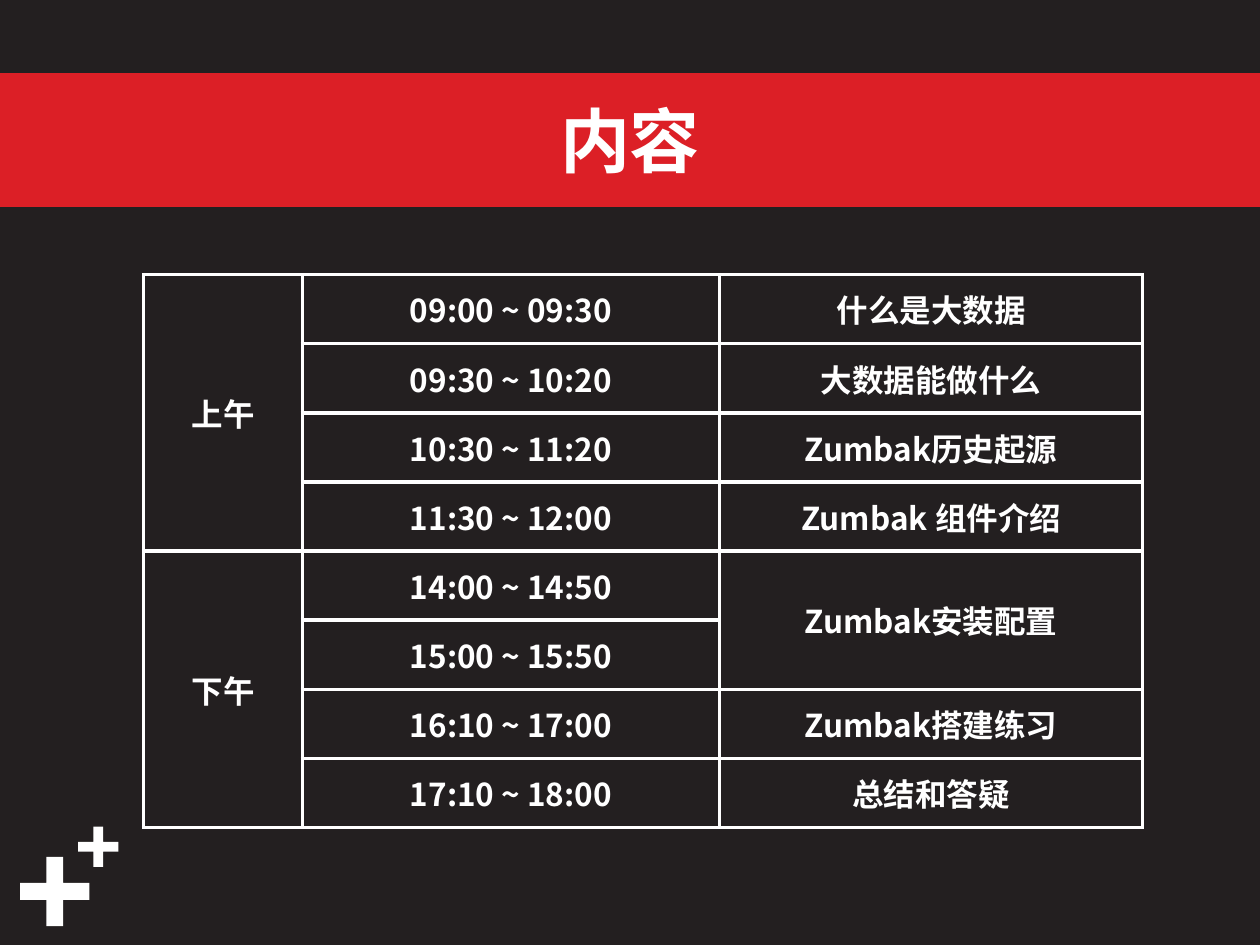
from lxml import etree
from pptx import Presentation
from pptx.dml.color import RGBColor
from pptx.enum import shapes, text
from pptx.oxml import ns
from pptx.util import Inches, Pt

DARK = RGBColor(0x23, 0x1F, 0x20)
RED = RGBColor(0xDC, 0x1F, 0x26)
WHITE = RGBColor(0xFF, 0xFF, 0xFF)
FONT = "Noto Sans CJK SC"

TITLE = "内容"
# (first row, last row, text) for each column
SESSIONS = [(0, 3, "上午"), (4, 7, "下午")]
TIMES = [
    "09:00 ~ 09:30", "09:30 ~ 10:20", "10:30 ~ 11:20", "11:30 ~ 12:00",
    "14:00 ~ 14:50", "15:00 ~ 15:50", "16:10 ~ 17:00", "17:10 ~ 18:00",
]
TOPICS = [
    (0, 0, "什么是大数据"),
    (1, 1, "大数据能做什么"),
    (2, 2, "Zumbak历史起源"),
    (3, 3, "Zumbak 组件介绍"),
    (4, 5, "Zumbak安装配置"),
    (6, 6, "Zumbak搭建练习"),
    (7, 7, "总结和答疑"),
]
COLUMNS = [SESSIONS, [(i, i, t) for i, t in enumerate(TIMES)], TOPICS]
COLUMN_WIDTHS = [1.26, 3.31, 3.36]
TABLE_LEFT, TABLE_TOP, TABLE_HEIGHT = 1.14, 2.18, 4.39
PLUSES = [(0.16, 6.8, 0.55), (0.62, 6.56, 0.32)]  # left, top, size


def write(tf, words, size):
    tf.text = words
    p = tf.paragraphs[0]
    p.alignment = text.PP_ALIGN.CENTER
    font = p.runs[0].font
    font.size, font.bold = Pt(size), True
    font.color.rgb = WHITE
    font.name = FONT
    etree.SubElement(p.runs[0]._r.rPr, ns.qn("a:ea"), typeface=FONT)


def add_borders(cell):
    tcPr = cell._tc.get_or_add_tcPr()
    for side in ("a:lnL", "a:lnR", "a:lnT", "a:lnB"):
        ln = etree.SubElement(tcPr, ns.qn(side), w=str(Pt(2.25)))
        fill = etree.SubElement(ln, ns.qn("a:solidFill"))
        etree.SubElement(fill, ns.qn("a:srgbClr"), val=str(WHITE))


def add_title(s):
    title = s.shapes.title
    title.left, title.top = Inches(0), Inches(0.6)
    title.width, title.height = Inches(10), Inches(1.02)
    title.fill.solid()
    title.fill.fore_color.rgb = RED
    title.line.color.rgb = RED
    title.line.width = Pt(3)
    write(title.text_frame, TITLE, 40)
    title.text_frame.auto_size = text.MSO_AUTO_SIZE.NONE
    title.text_frame.vertical_anchor = text.MSO_ANCHOR.MIDDLE


def add_pluses(s):
    for left, top, size in PLUSES:
        plus = s.shapes.add_shape(
            shapes.MSO_SHAPE.CROSS, Inches(left), Inches(top), Inches(size), Inches(size))
        plus.adjustments[0] = 0.378
        plus.shadow.inherit = False
        plus.fill.solid()
        plus.fill.fore_color.rgb = WHITE
        plus.line.fill.background()


def add_schedule(s):
    table = s.shapes.add_table(
        len(TIMES), len(COLUMNS), Inches(TABLE_LEFT), Inches(TABLE_TOP),
        Inches(sum(COLUMN_WIDTHS)), Inches(TABLE_HEIGHT)).table
    table.first_row = table.horz_banding = False
    for column, width in zip(table.columns, COLUMN_WIDTHS):
        column.width = Inches(width)
    for cell in table.iter_cells():
        add_borders(cell)
        cell.fill.background()
        cell.vertical_anchor = text.MSO_ANCHOR.MIDDLE
    for c, entries in enumerate(COLUMNS):
        for first, last, words in entries:
            cell = table.cell(first, c)
            if last > first:
                cell.merge(table.cell(last, c))
            write(cell.text_frame, words, 18)


def main():
    prs = Presentation()
    prs.slide_width, prs.slide_height = Inches(10), Inches(7.5)
    s = prs.slides.add_slide(prs.slide_layouts[5])
    s.background.fill.solid()
    s.background.fill.fore_color.rgb = DARK
    add_pluses(s)
    add_title(s)
    add_schedule(s)
    prs.save("out.pptx")


if __name__ == "__main__":
    main()
